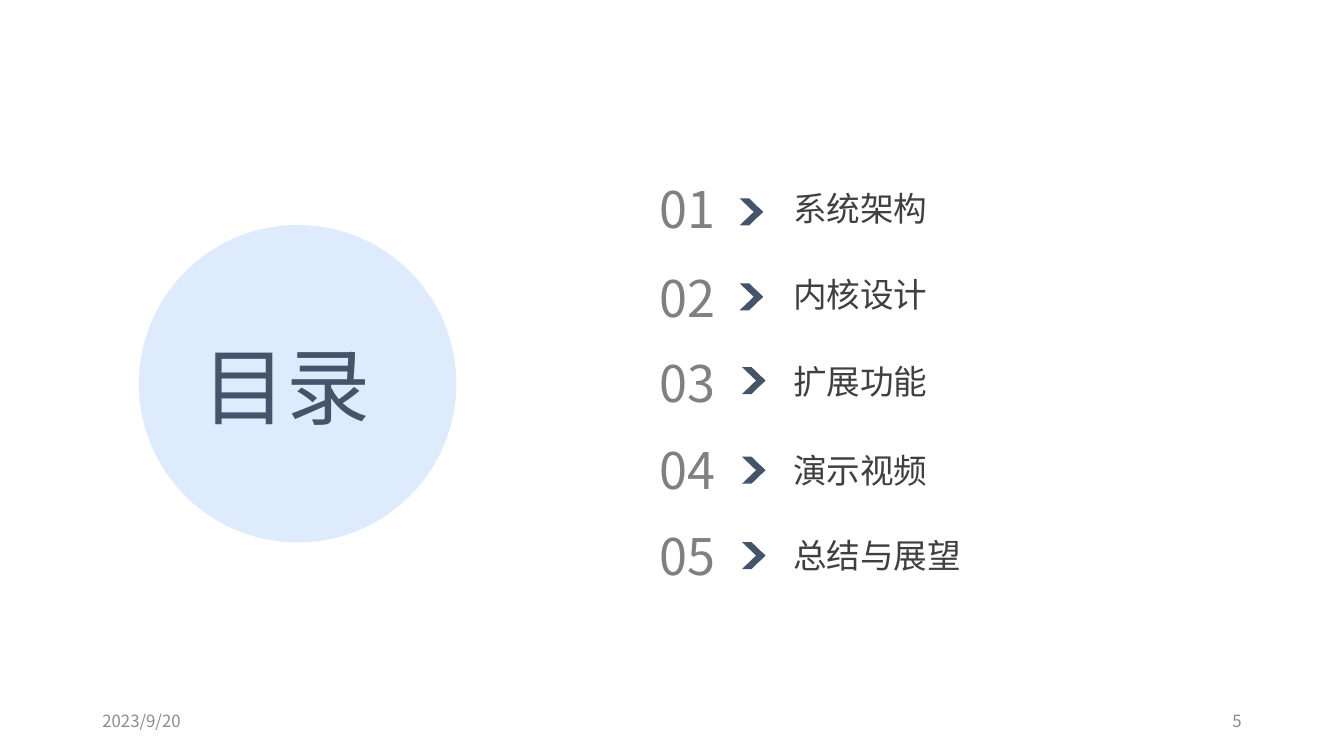
from dataclasses import dataclass

from lxml.etree import SubElement
from pptx import Presentation
from pptx.dml.color import RGBColor
from pptx.enum.shapes import MSO_SHAPE
from pptx.enum.text import MSO_ANCHOR, MSO_AUTO_SIZE, PP_ALIGN
from pptx.oxml.ns import qn
from pptx.util import Cm, Pt


@dataclass(frozen=True)
class Theme:
    font: str = "Noto Sans CJK SC"
    navy: str = "44546A"
    blue: str = "287EED"
    dark: str = "404040"
    gray: str = "808080"
    pale: str = "8C8C8C"
    title: int = 60
    number: int = 36
    label: int = 24
    small: int = 12


class Deck:
    def __init__(self, theme):
        self.theme = theme
        self.prs = Presentation()
        self.prs.slide_width, self.prs.slide_height = Cm(33.87), Cm(19.05)
        self.slide = self.prs.slides.add_slide(self.prs.slide_layouts[6])

    def text(self, words, box, size, color, align=PP_ALIGN.LEFT,
             wrap=True, footer=False):
        shape = self.slide.shapes.add_textbox(*map(Cm, box))
        frame = shape.text_frame
        frame.word_wrap = wrap
        if footer:
            frame.vertical_anchor = MSO_ANCHOR.MIDDLE
        else:
            frame.auto_size = MSO_AUTO_SIZE.SHAPE_TO_FIT_TEXT
        para = frame.paragraphs[0]
        para.text = words
        para.alignment = align
        para.font.size = Pt(size)
        para.font.color.rgb = RGBColor.from_string(color)
        para.font.name = self.theme.font
        # East Asian glyphs need their own font entry
        props = para._p.pPr.find(qn("a:defRPr"))
        SubElement(props, qn("a:ea"), typeface=self.theme.font)

    def paint(self, shape, color):
        shape.shadow.inherit = False
        shape.fill.solid()
        shape.fill.fore_color.rgb = RGBColor.from_string(color)
        shape.line.fill.background()

    def disc(self, left, top, size, color, alpha):
        shape = self.slide.shapes.add_shape(
            MSO_SHAPE.OVAL, Cm(left), Cm(top), Cm(size), Cm(size))
        self.paint(shape, color)
        tint = shape.fill._xPr.find(".//" + qn("a:srgbClr"))
        SubElement(tint, qn("a:alpha"), val=str(alpha * 1000))

    def arrow(self, left, top, color):
        # Two mirrored strokes that meet at the tip
        high = 0.68
        upper = [(0, 0), (0.47, 0.45), (0.59, 0.34), (0.24, 0)]
        lower = [(x, high - y) for x, y in upper]
        group = self.slide.shapes.add_group_shape()
        for half in (upper, lower):
            pts = [(Cm(left + x), Cm(top + y)) for x, y in half]
            form = group.shapes.build_freeform(*pts[0])
            form.add_line_segments(pts[1:], close=True)
            self.paint(form.convert_to_shape(), color)


def main():
    theme = Theme()
    deck = Deck(theme)

    # Title disc
    deck.disc(3.5, 5.67, 8, theme.blue, 15)
    deck.text("目录", (4.85, 8.3, 4.75, 2.82), theme.title, theme.navy,
              wrap=False)

    # Contents: label, number top, label top, arrow left and top
    rows = [
        ("系统架构", 4.37, 4.62, 18.64, 5.0),
        ("内核设计", 6.6, 6.78, 18.64, 7.14),
        ("扩展功能", 8.74, 8.97, 18.7, 9.25),
        ("演示视频", 10.95, 11.2, 18.7, 11.51),
        ("总结与展望", 13.11, 13.36, 18.7, 13.66),
    ]
    for index, (label, num_top, top, left, tip) in enumerate(rows, 1):
        deck.text(f"{index:02}", (15.09, num_top, 3.18, 1.8),
                  theme.number, theme.gray, PP_ALIGN.RIGHT)
        deck.arrow(left, tip, theme.navy)
        deck.text(label, (19.74, top, 4.88, 1.27), theme.label, theme.dark)

    # Footer
    deck.text("2023/9/20", (2.33, 17.66, 7.62, 1.01), theme.small,
              theme.pale, footer=True)
    deck.text("5", (23.92, 17.66, 7.62, 1.01), theme.small, theme.pale,
              PP_ALIGN.RIGHT, footer=True)

    deck.prs.save("out.pptx")


if __name__ == "__main__":
    main()
